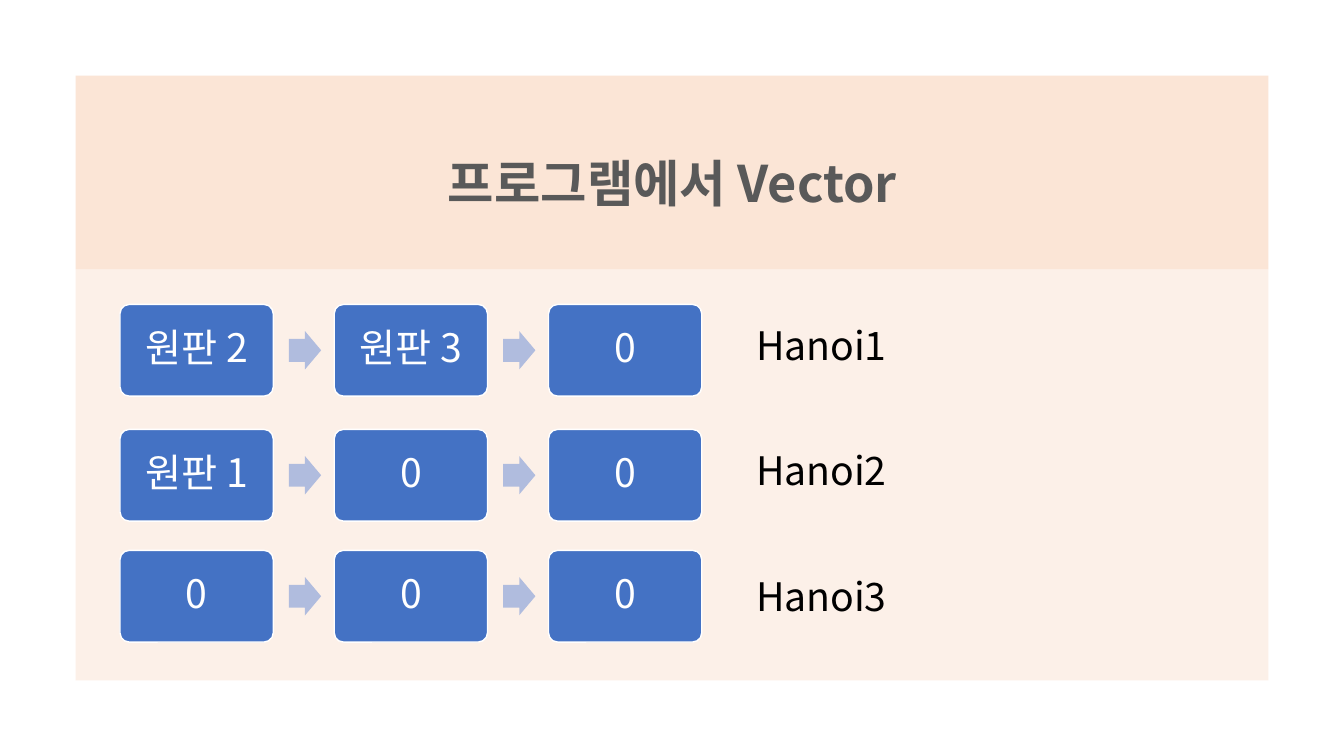
from dataclasses import dataclass

from lxml.etree import SubElement
from pptx import Presentation
from pptx.dml.color import RGBColor
from pptx.enum.shapes import MSO_SHAPE as Shape
from pptx.enum.text import MSO_ANCHOR as Anchor, PP_ALIGN as Align
from pptx.oxml.ns import qn
from pptx.util import Inches, Pt


@dataclass(frozen=True)
class Theme:
    font: str = "Noto Sans CJK KR"
    peach: str = "FBE5D6"
    disk: str = "4472C4"
    arrow: str = "B0BCDE"
    white: str = "FFFFFF"
    heading: str = "595959"
    black: str = "000000"
    title_size: int = 36
    body_size: int = 28
    body_opacity: int = 55


THEME = Theme()

# Peg label, label top, row top, disks
PEGS = [
    ("Hanoi1", 3.14, 3.02, ["원판 2", "원판 3", "0"]),
    ("Hanoi2", 4.38, 4.26, ["원판 1", "0", "0"]),
    ("Hanoi3", 5.63, 5.46, ["0", "0", "0"]),
]


def inches(box):
    return [Inches(length) for length in box]


def add_filled(shapes, kind, box, color, opacity=100):
    shape = shapes.add_shape(kind, *inches(box))
    shape.shadow.inherit = False
    shape.fill.solid()
    shape.fill.fore_color.rgb = RGBColor.from_string(color)
    shape.line.fill.background()
    if opacity < 100:
        srgb = shape._element.spPr.find(".//" + qn("a:srgbClr"))
        SubElement(srgb, qn("a:alpha")).set("val", str(opacity * 1000))
    return shape


def write(shape, text, size, color, bold=False, centered=True):
    """Set one paragraph, with the theme font for Latin and Korean letters."""
    frame = shape.text_frame
    frame.text = text
    frame.word_wrap = True
    paragraph = frame.paragraphs[0]
    paragraph.alignment = Align.CENTER if centered else Align.LEFT
    if centered:
        frame.vertical_anchor = Anchor.MIDDLE
        paragraph.line_spacing = 0.9
    for run in paragraph.runs:
        run.font.name = THEME.font
        run.font.size = Pt(size)
        run.font.bold = bold
        run.font.color.rgb = RGBColor.from_string(color)
        SubElement(run._r.rPr, qn("a:ea")).set("typeface", THEME.font)


def add_panel(slide, box, heading_height):
    left, top, width, height = box
    add_filled(slide.shapes, Shape.RECTANGLE,
               (left, top, width, heading_height), THEME.peach)
    add_filled(slide.shapes, Shape.RECTANGLE,
               (left, top + heading_height, width, height - heading_height),
               THEME.peach, THEME.body_opacity)
    heading = slide.shapes.add_textbox(
        *inches((left + 1.02, top + 0.55, 9.8, 1.1)))
    write(heading, "프로그램에서 Vector", THEME.title_size, THEME.heading, bold=True)


def add_disk(shapes, box, text):
    disk = add_filled(shapes, Shape.ROUNDED_RECTANGLE, box, THEME.disk)
    disk.adjustments[0] = 0.1
    disk.line.color.rgb = RGBColor.from_string(THEME.white)
    disk.line.width = Pt(1)
    write(disk, text, THEME.body_size, THEME.white)
    frame = disk.text_frame
    frame.margin_left = frame.margin_right = Inches(0.12)
    frame.margin_top = frame.margin_bottom = Inches(0.12)


def add_disk_row(slide, box, disks):
    """Spread the disks over the box, with an arrow in each gap."""
    left, top, width, height = box
    disk_width, arrow_width, arrow_height = 1.52, 0.32, 0.38
    pitch = (width - disk_width) / (len(disks) - 1)
    row = slide.shapes.add_group_shape()
    for index, text in enumerate(disks):
        disk_left = left + index * pitch
        if index:
            arrow = add_filled(
                row.shapes, Shape.RIGHT_ARROW,
                (disk_left - 0.45, top + (height - arrow_height) / 2,
                 arrow_width, arrow_height), THEME.arrow)
            arrow.adjustments[0] = 0.6
        add_disk(row.shapes, (disk_left, top, disk_width, height), text)


def add_peg_label(slide, box, text):
    label = slide.shapes.add_textbox(*inches(box))
    write(label, text, THEME.body_size, THEME.black, centered=False)


def main():
    deck = Presentation()
    deck.slide_width, deck.slide_height = Inches(13.33), Inches(7.5)
    slide = deck.slides.add_slide(deck.slide_layouts[6])
    add_panel(slide, (0.75, 0.75, 11.83, 6), heading_height=1.92)
    for label, label_top, row_top, disks in PEGS:
        add_disk_row(slide, (1.19, row_top, 5.77, 0.91), disks)
        add_peg_label(slide, (7.4, label_top, 3.79, 0.57), label)
    deck.save("out.pptx")


if __name__ == "__main__":
    main()
